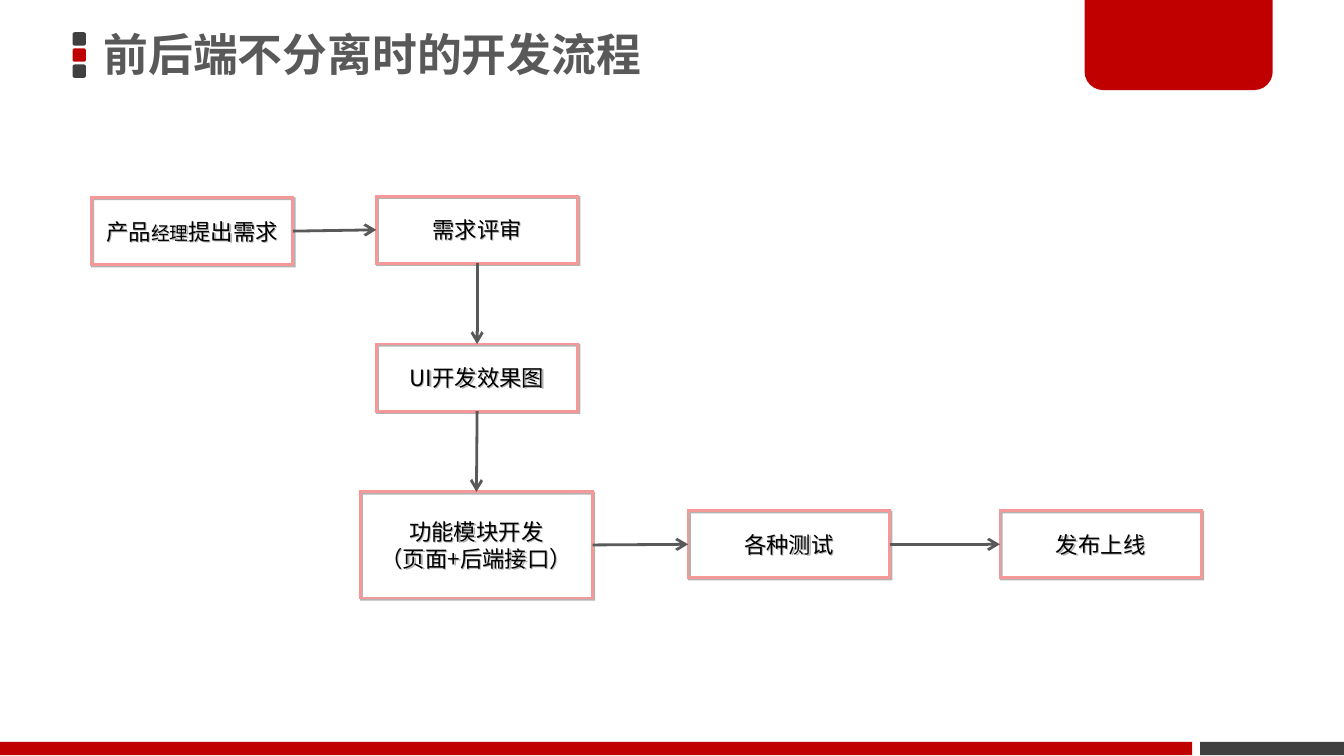
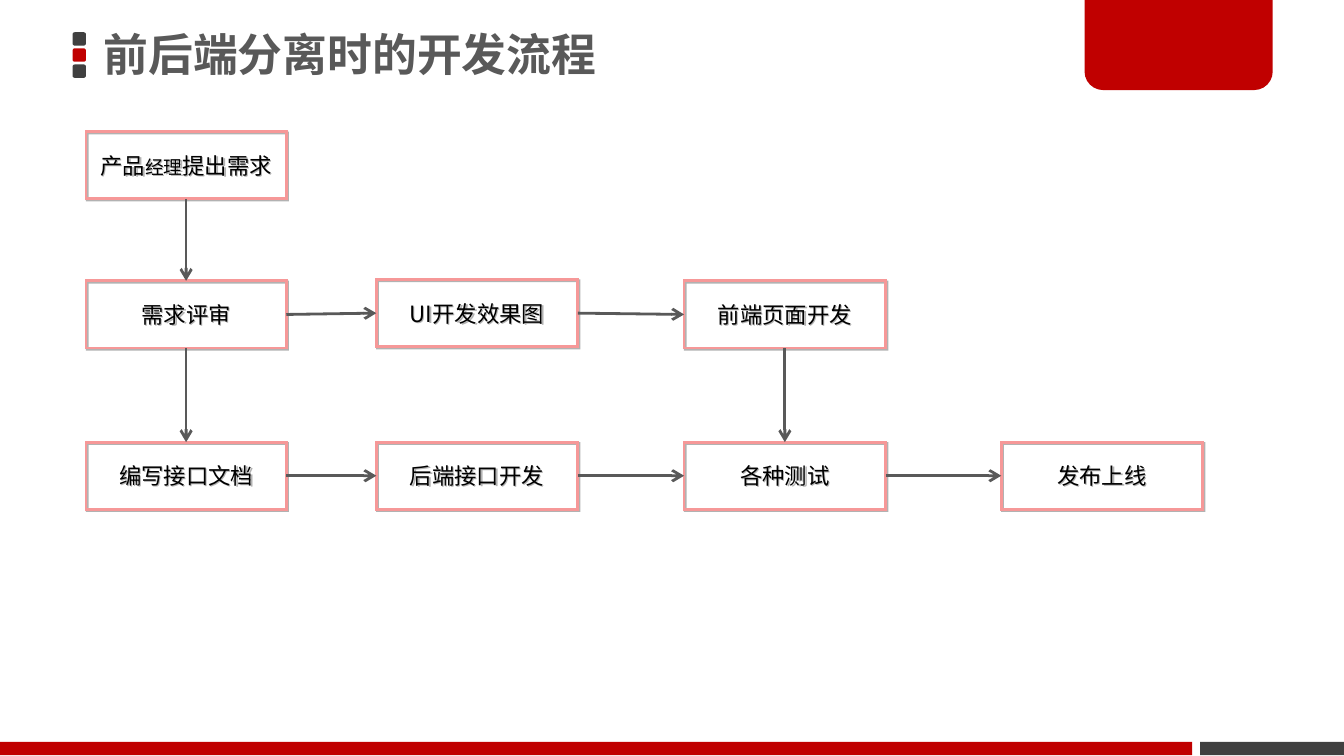
from lxml import etree
from pptx import Presentation
from pptx.dml.color import RGBColor
from pptx.enum import shapes, text
from pptx.oxml.ns import qn
from pptx.util import Inches, Pt

FONT = "Noto Sans CJK SC"
RED, DARK, GREY, PINK, BLACK = "C00000", "404040", "595959", "F69898", "000000"
TOP, LEFT, BOTTOM, RIGHT = range(4)  # connection sites of a rectangle
PAGE_WIDTH = 10
PAGE_HEIGHT = PAGE_WIDTH * 9 / 16
BOX_WIDTH, FIRST_WIDTH, BOX_HEIGHT = 1.5, 1.49, 0.5
REQUEST = [[("产品", 12), ("经理", 10), ("提出需求", 12)]]

# Each step: name -> (left, top, width, height, paragraphs of (text, size) spans)
JOINED_STEPS = {
    "request": (0.68, 1.47, BOX_WIDTH, BOX_HEIGHT, REQUEST),
    "review": (2.8, 1.46, BOX_WIDTH, BOX_HEIGHT, [[("需求评审", 12)]]),
    "design": (2.8, 2.56, BOX_WIDTH, BOX_HEIGHT, [[("UI开发效果图", 12)]]),
    "modules": (2.68, 3.66, 1.73, 0.79,
                [[("功能模块开发", 12)], [("（页面+后端接口）", 12)]]),
    "tests": (5.12, 3.8, BOX_WIDTH, BOX_HEIGHT, [[("各种测试", 12)]]),
    "release": (7.44, 3.8, BOX_WIDTH, BOX_HEIGHT, [[("发布上线", 12)]]),
}
JOINED_ARROWS = [
    ("request", "review", "across"), ("review", "design", "down"),
    ("design", "modules", "down"), ("modules", "tests", "across"),
    ("tests", "release", "across"),
]

SPLIT_STEPS = {
    "request": (0.64, 0.98, FIRST_WIDTH, BOX_HEIGHT, REQUEST),
    "review": (0.64, 2.09, FIRST_WIDTH, BOX_HEIGHT, [[("需求评审", 12)]]),
    "contract": (0.64, 3.29, FIRST_WIDTH, BOX_HEIGHT, [[("编写接口文档", 12)]]),
    "tests": (5.09, 3.29, BOX_WIDTH, BOX_HEIGHT, [[("各种测试", 12)]]),
    "release": (7.45, 3.29, BOX_WIDTH, BOX_HEIGHT, [[("发布上线", 12)]]),
    "design": (2.8, 2.08, BOX_WIDTH, BOX_HEIGHT, [[("UI开发效果图", 12)]]),
    "front": (5.09, 2.09, BOX_WIDTH, BOX_HEIGHT, [[("前端页面开发", 12)]]),
    "back": (2.8, 3.29, BOX_WIDTH, BOX_HEIGHT, [[("后端接口开发", 12)]]),
}
SPLIT_ARROWS = [
    ("request", "review", "down"), ("review", "contract", "down"),
    ("contract", "back", "across"), ("back", "tests", "across"),
    ("tests", "release", "across"), ("review", "design", "across"),
    ("design", "front", "across"), ("front", "tests", "down"),
]


def color(value):
    return RGBColor.from_string(value)


def add_span(para, words, size, ink, bold=False):
    span = para.add_run()
    span.text = words
    span.font.size = Pt(size)
    span.font.bold = bold
    span.font.color.rgb = color(ink)
    span.font.name = FONT
    latin = span.font._element.find(qn("a:latin"))
    latin.addnext(etree.Element(qn("a:ea"), typeface=FONT))


def set_margins(frame, side, end):
    frame.margin_left = frame.margin_right = Inches(side)
    frame.margin_top = frame.margin_bottom = Inches(end)


def add_block(page, kind, left, top, width, height, fill):
    """Add a plain filled shape without outline or shadow."""
    block = page.shapes.add_shape(
        kind, Inches(left), Inches(top), Inches(width), Inches(height))
    block.shadow.inherit = False
    block.fill.solid()
    block.fill.fore_color.rgb = color(fill)
    block.line.fill.background()
    return block


def add_frame(page):
    """Add the title marker, the corner tab and the footer band."""
    kinds = shapes.MSO_SHAPE
    for row, fill in enumerate((DARK, RED, DARK)):
        add_block(page, kinds.ROUNDED_RECTANGLE, 0.54, 0.24 + 0.12 * row, 0.1, 0.1, fill)
    add_block(page, kinds.RECTANGLE, 8.93, 5.52, 1.07, 0.1, DARK)
    tab = add_block(page, kinds.ROUND_2_SAME_RECTANGLE, 8.07, -0.02, 1.4, 0.69, RED)
    tab.adjustments[0], tab.adjustments[1] = 0, 0.2
    add_block(page, kinds.RECTANGLE, 0, 5.52, 8.87, 0.1, RED)


def set_title(page, words):
    title = page.shapes.title
    title.left, title.top = Inches(0.69), Inches(-0.02)
    title.width, title.height = Inches(5.89), Inches(0.89)
    frame = title.text_frame
    frame.word_wrap = True
    frame.auto_size = text.MSO_AUTO_SIZE.NONE
    frame.vertical_anchor = text.MSO_ANCHOR.MIDDLE
    set_margins(frame, 0.08, 0.04)
    para = frame.paragraphs[0]
    para.alignment = text.PP_ALIGN.LEFT
    para.line_spacing = 0.9
    add_span(para, words, 24, GREY, bold=True)


def add_shadow(box):
    """Give the box a hard, translucent shadow towards the lower right."""
    box.shadow.inherit = False
    effects = box.element.spPr.find(qn("a:effectLst"))
    shadow = etree.SubElement(effects, qn("a:outerShdw"), blurRad="0",
                              dist=str(Pt(1)), dir=str(45 * 60000),
                              algn="tl", rotWithShape="0")
    tint = etree.SubElement(shadow, qn("a:srgbClr"), val=BLACK)
    etree.SubElement(tint, qn("a:alpha"), val="30000")


def add_step(page, left, top, width, height, paragraphs):
    box = page.shapes.add_shape(
        shapes.MSO_SHAPE.RECTANGLE,
        Inches(left), Inches(top), Inches(width), Inches(height))
    box.fill.background()
    box.line.color.rgb = color(PINK)
    box.line.width = Pt(1.5)
    outline = box.element.spPr.find(qn("a:ln"))
    etree.SubElement(outline, qn("a:miter"), lim="800000")
    add_shadow(box)
    frame = box.text_frame
    frame.word_wrap = True
    frame.vertical_anchor = text.MSO_ANCHOR.MIDDLE
    set_margins(frame, 0.1, 0.05)
    for index, spans in enumerate(paragraphs):
        para = frame.add_paragraph() if index else frame.paragraphs[0]
        para.alignment = text.PP_ALIGN.CENTER
        for words, size in spans:
            add_span(para, words, size, BLACK)
    return box


def add_arrow(page, source, target, direction):
    start, end = (BOTTOM, TOP) if direction == "down" else (RIGHT, LEFT)
    arrow = page.shapes.add_connector(shapes.MSO_CONNECTOR.STRAIGHT, 0, 0, 0, 0)
    arrow.begin_connect(source, start)
    arrow.end_connect(target, end)
    arrow.line.color.rgb = color(GREY)
    arrow.line.width = Pt(1.5)
    properties = arrow.element.spPr
    etree.SubElement(properties.find(qn("a:ln")), qn("a:tailEnd"), type="arrow")
    etree.SubElement(properties, qn("a:effectLst"))


def add_flow_page(deck, title, steps, arrows):
    page = deck.slides.add_slide(deck.slide_layouts.get_by_name("Title Only"))
    add_frame(page)
    set_title(page, title)
    boxes = {name: add_step(page, *step) for name, step in steps.items()}
    for source, target, direction in arrows:
        add_arrow(page, boxes[source], boxes[target], direction)


def main():
    deck = Presentation()
    deck.slide_width, deck.slide_height = Inches(PAGE_WIDTH), Inches(PAGE_HEIGHT)
    add_flow_page(deck, "前后端不分离时的开发流程", JOINED_STEPS, JOINED_ARROWS)
    add_flow_page(deck, "前后端分离时的开发流程", SPLIT_STEPS, SPLIT_ARROWS)
    deck.save("out.pptx")


if __name__ == "__main__":
    main()
